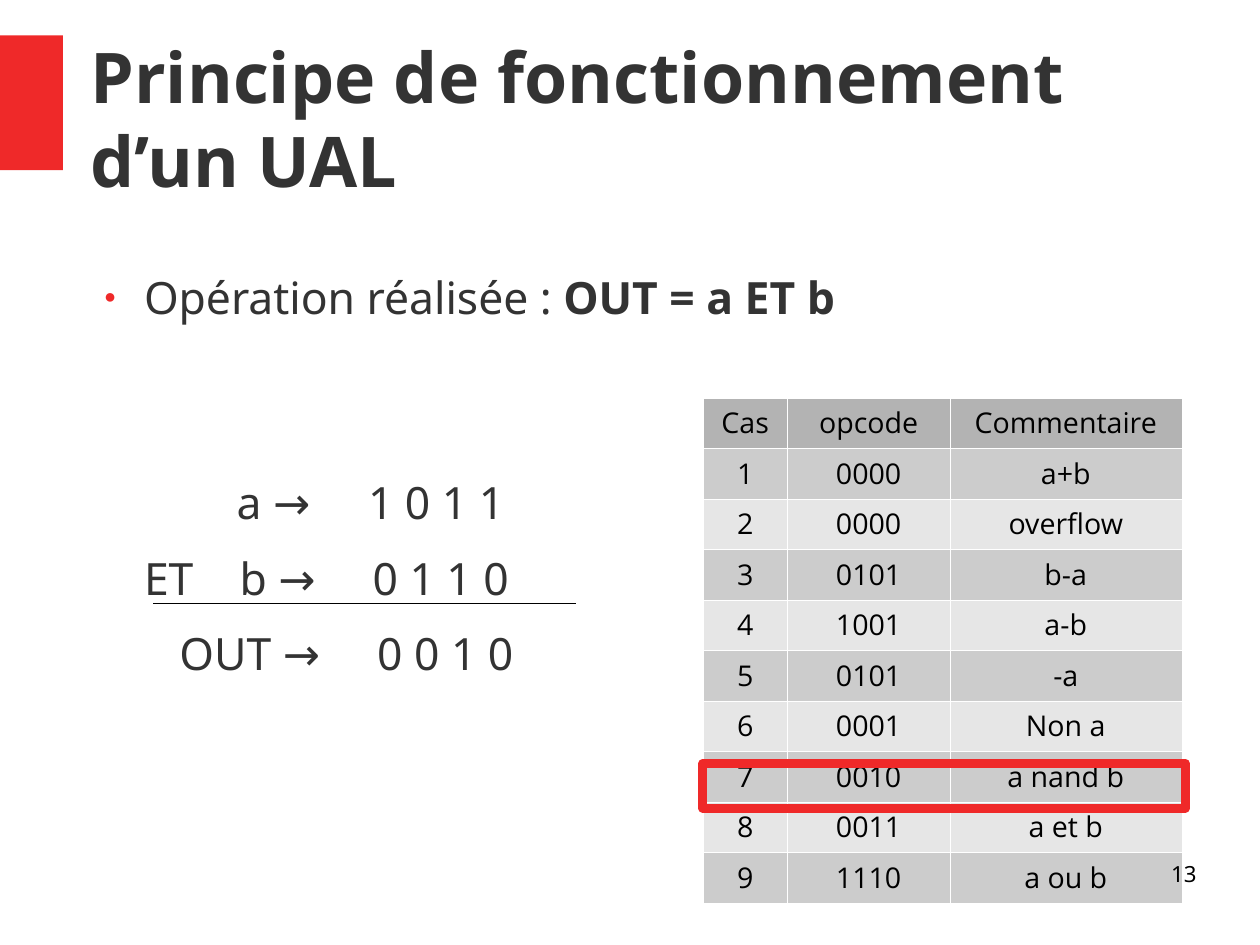
from dataclasses import dataclass

from lxml.etree import SubElement
from pptx import Presentation
from pptx.dml.color import RGBColor
from pptx.enum.shapes import MSO_CONNECTOR, MSO_SHAPE
from pptx.enum.text import MSO_ANCHOR, MSO_AUTO_SIZE, PP_ALIGN
from pptx.oxml.ns import qn
from pptx.util import Inches, Pt

COLOURS = {
    "accent": "EF2929",
    "text": "333333",
    "black": "000000",
    "white": "FFFFFF",
    "header": "B3B3B3",
    "odd": "CCCCCC",
    "even": "E6E6E6",
}
CM_PER_INCH = 2.54
TITLE_FONT = "Noto Sans"
TABLE_FONT = "Open Sans"
PARAGRAPH_GAP = 14.1

OPCODES = [
    ("Cas", "opcode", "Commentaire"),
    ("1", "0000", "a+b"),
    ("2", "0000", "overflow"),
    ("3", "0101", "b-a"),
    ("4", "1001", "a-b"),
    ("5", "0101", "-a"),
    ("6", "0001", "Non a"),
    ("7", "0010", "a nand b"),
    ("8", "0011", "a et b"),
    ("9", "1110", "a ou b"),
]
COLUMN_WIDTHS = (0.74, 1.42, 2.03)
TABLE_HEIGHT = 4.42


@dataclass
class Operand:
    """One line of the binary calculation; the tab leads to the digits."""
    label: str
    digits: str
    label_left: float
    digits_left: float
    operator: str = ""
    gap_before: float = 0


OPERANDS = [
    Operand("a →", "1 0 1 1", 1.28, 2.43, gap_before=81.5),
    Operand("b →", "0 1 1 0", 0.47, 2.47, operator="ET"),
    Operand("OUT →", "0 0 1 0", 0.78, 2.51),
]


def rgb(name: str) -> RGBColor:
    return RGBColor.from_string(COLOURS[name])


def place(shape, left: float, top: float, width: float, height: float) -> None:
    shape.left, shape.top = Inches(left), Inches(top)
    shape.width, shape.height = Inches(width), Inches(height)


def format_runs(paragraph, size: float, colour: str, font: str = TITLE_FONT,
                bold: bool = False) -> None:
    for run in paragraph.runs:
        run.font.size, run.font.name, run.font.bold = Pt(size), font, bold
        run.font.color.rgb = rgb(colour)


def prepare_frame(frame, anchor: MSO_ANCHOR = MSO_ANCHOR.TOP) -> None:
    frame.word_wrap = True
    frame.auto_size = MSO_AUTO_SIZE.NONE
    frame.vertical_anchor = anchor
    frame.margin_left = frame.margin_right = 0
    frame.margin_top = frame.margin_bottom = 0


def add_rectangle(slide, left: float, top: float, width: float, height: float):
    rectangle = slide.shapes.add_shape(
        MSO_SHAPE.RECTANGLE, Inches(left), Inches(top), Inches(width), Inches(height))
    rectangle.shadow.inherit = False
    return rectangle


def add_colour(parent, colour: str) -> None:
    SubElement(parent, qn("a:srgbClr"), val=COLOURS[colour])


def set_indent(paragraph, first: float, hanging: float):
    """Start the first line at first, and the text after the bullet or tab at hanging."""
    properties = paragraph._p.get_or_add_pPr()
    properties.set("marL", str(Inches(hanging)))
    properties.set("indent", str(Inches(first - hanging)))
    return properties


def add_bullet(paragraph) -> None:
    properties = set_indent(paragraph, 0.12, 0.47)
    add_colour(SubElement(properties, qn("a:buClr")), "accent")
    SubElement(properties, qn("a:buSzPct"), val="45000")
    SubElement(properties, qn("a:buChar"), char="●")


def add_operand(frame, operand: Operand) -> None:
    row = frame.add_paragraph()
    if operand.operator:
        row.add_run().text = operand.operator
        wide_space = row.add_run()
        wide_space.text = " "
        wide_space.font._element.set("spc", "2180")
    row.add_run().text = f"{operand.label}\t{operand.digits}"
    row.space_before, row.space_after = Pt(operand.gap_before), Pt(PARAGRAPH_GAP)
    properties = set_indent(row, operand.label_left, operand.digits_left)
    SubElement(properties, qn("a:buNone"))
    format_runs(row, 28, "text")


def fill_title(title) -> None:
    place(title, 0.79, 0.19, 9.68, 1.67)
    title.text_frame.text = "Principe de fonctionnement d’un UAL"
    prepare_frame(title.text_frame, MSO_ANCHOR.MIDDLE)
    heading = title.text_frame.paragraphs[0]
    heading.alignment = PP_ALIGN.LEFT
    format_runs(heading, 44, "text", bold=True)


def fill_body(body) -> None:
    place(body, 0.79, 2.36, 9.61, 4.8)
    frame = body.text_frame
    prepare_frame(frame)
    operation = frame.paragraphs[0]
    operation.text = "Opération réalisée : "
    operation.add_run().text = "OUT = a ET b"
    operation.space_before, operation.space_after = Pt(0), Pt(PARAGRAPH_GAP)
    add_bullet(operation)
    format_runs(operation, 28, "text")
    operation.runs[1].font.bold = True
    for operand in OPERANDS:
        add_operand(frame, operand)


def add_borders(cell) -> None:
    properties = cell._tc.get_or_add_tcPr()
    for side in ("lnL", "lnR", "lnT", "lnB"):
        border = SubElement(properties, qn(f"a:{side}"), w=str(Pt(0.06)))
        add_colour(SubElement(border, qn("a:solidFill")), "white")


def add_opcode_table(slide) -> None:
    table = slide.shapes.add_table(
        len(OPCODES), len(COLUMN_WIDTHS), Inches(6.15), Inches(3.48),
        Inches(sum(COLUMN_WIDTHS)), Inches(TABLE_HEIGHT)).table
    for column, width in zip(table.columns, COLUMN_WIDTHS):
        column.width = Inches(width)
    for r, values in enumerate(OPCODES):
        shade = "header" if r == 0 else "odd" if r % 2 else "even"
        for c, value in enumerate(values):
            cell = table.cell(r, c)
            cell.text_frame.text = value
            entry = cell.text_frame.paragraphs[0]
            entry.alignment = PP_ALIGN.CENTER
            format_runs(entry, 18, "black", TABLE_FONT)
            add_borders(cell)
            cell.fill.solid()
            cell.fill.fore_color.rgb = rgb(shade)


def add_sum_line(slide) -> None:
    sum_line = slide.shapes.add_connector(
        MSO_CONNECTOR.STRAIGHT, Inches(1.34), Inches(5.28), Inches(5.04), Inches(5.28))
    sum_line.line.color.rgb = rgb("black")
    sum_line.line.width = Pt(0.1)
    SubElement(sum_line._element.spPr, qn("a:effectLst"))


def add_page_number(slide) -> None:
    page_number = slide.shapes.add_textbox(
        Inches(7.9), Inches(7.53), Inches(2.57), Inches(0.57))
    page_number.text_frame.text = "13"
    prepare_frame(page_number.text_frame)
    number = page_number.text_frame.paragraphs[0]
    number.alignment = PP_ALIGN.RIGHT
    format_runs(number, 14, "black")


def main() -> None:
    presentation = Presentation()
    presentation.slide_width = Inches(28 / CM_PER_INCH)
    presentation.slide_height = Inches(21 / CM_PER_INCH)
    slide = presentation.slides.add_slide(presentation.slide_layouts[1])

    accent_block = add_rectangle(slide, 0, 0.31, 0.55, 1.18)
    accent_block.fill.solid()
    accent_block.fill.fore_color.rgb = rgb("accent")
    accent_block.line.fill.background()

    fill_title(slide.shapes.title)
    fill_body(slide.placeholders[1])
    add_opcode_table(slide)
    add_sum_line(slide)

    highlight = add_rectangle(slide, 6.15, 6.68, 4.22, 0.39)
    highlight.fill.background()
    highlight.line.color.rgb = rgb("accent")
    highlight.line.width = Pt(5.67)

    add_page_number(slide)
    presentation.save("out.pptx")


if __name__ == "__main__":
    main()
